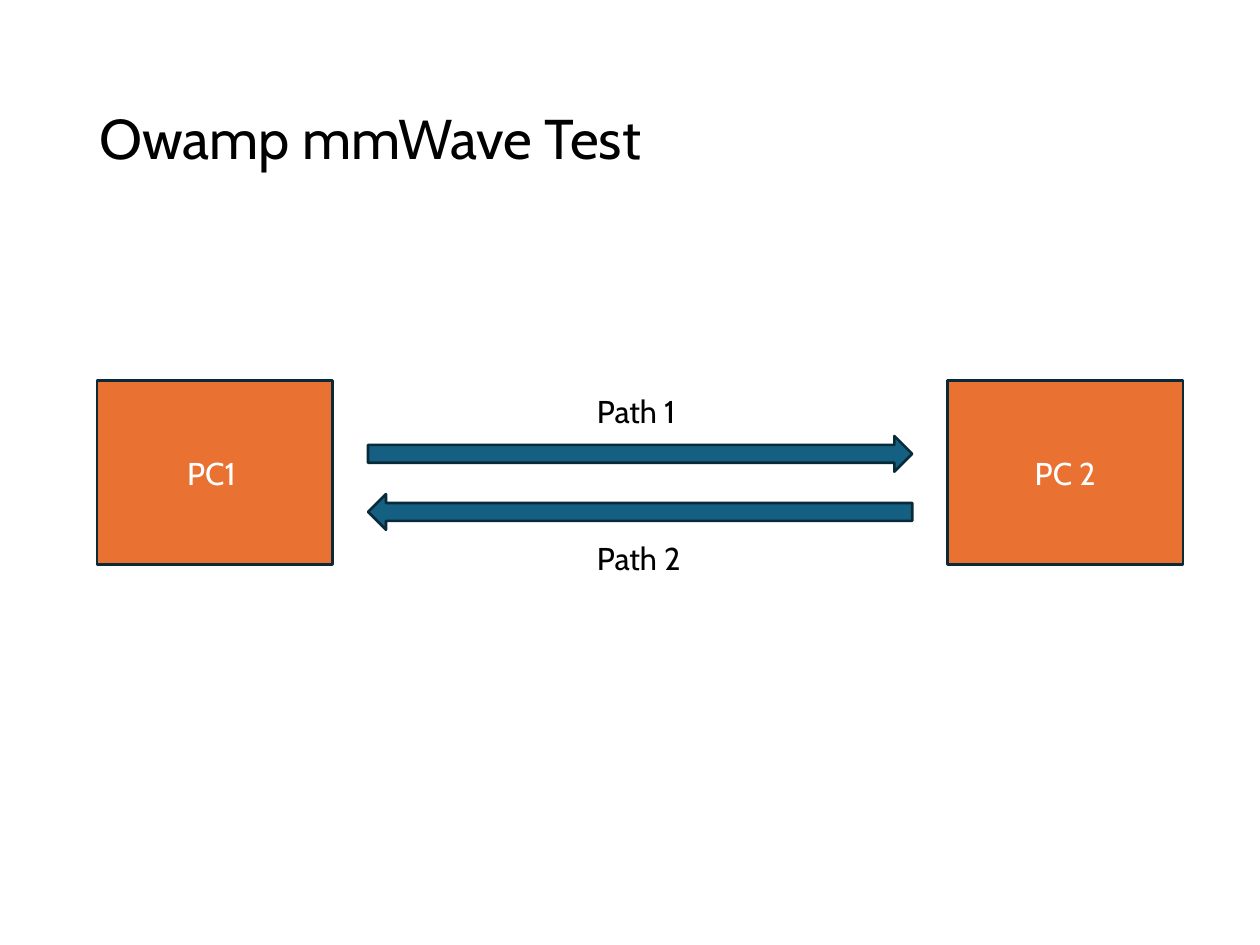
from pptx import Presentation
from pptx.dml.color import RGBColor
from pptx.enum.shapes import MSO_SHAPE
from pptx.enum.text import MSO_ANCHOR, MSO_AUTO_SIZE, PP_ALIGN
from pptx.util import Cm, Pt

RECTANGLE = MSO_SHAPE.RECTANGLE
RIGHT_ARROW = MSO_SHAPE.RIGHT_ARROW
MIDDLE = MSO_ANCHOR.MIDDLE
CENTER = PP_ALIGN.CENTER
FIT_SHAPE = MSO_AUTO_SIZE.SHAPE_TO_FIT_TEXT

FONT = "Cabin"
BLACK, WHITE = "000000", "FFFFFF"
ORANGE, BLUE, OUTLINE = "E97132", "156082", "092A39"

PC_WIDTH = 4.75
ARROW_WIDTH, ARROW_HEIGHT = 10.97, 0.72
LABEL_WIDTH, LABEL_HEIGHT = 2.24, 1.02


def color(hex_string):
    return RGBColor.from_string(hex_string)


def write(shape, text, size, text_color):
    para = shape.text_frame.paragraphs[0]
    para.text = text
    para.font.name = FONT
    para.font.size = Pt(size)
    para.font.color.rgb = color(text_color)
    return para


def add_outlined_shape(page, kind, left, top, width, height, fill):
    shape = page.shapes.add_shape(kind, Cm(left), Cm(top), Cm(width), Cm(height))
    shape.shadow.inherit = False
    shape.fill.solid()
    shape.fill.fore_color.rgb = color(fill)
    shape.line.color.rgb = color(OUTLINE)
    shape.line.width = Pt(1.5)
    return shape


def add_title(page, left, top, width, height):
    box = page.shapes.add_textbox(Cm(left), Cm(top), Cm(width), Cm(height))
    box.text_frame.word_wrap = True
    box.text_frame.vertical_anchor = MIDDLE
    write(box, "Owamp mmWave Test", 32, BLACK).line_spacing = 0.9


def add_computer(page, left, top, height, name):
    computer = add_outlined_shape(page, RECTANGLE, left, top, PC_WIDTH, height, ORANGE)
    computer.text_frame.vertical_anchor = MIDDLE
    write(computer, name, 18, WHITE).alignment = CENTER


def add_path_label(page, left, top, text):
    label = page.shapes.add_textbox(Cm(left), Cm(top), Cm(LABEL_WIDTH), Cm(LABEL_HEIGHT))
    label.text_frame.word_wrap = False
    label.text_frame.auto_size = FIT_SHAPE
    write(label, text, 18, BLACK)


def add_path_diagram(page, left, top, width, height):
    """Two computers at the ends of the box, joined by a path each way."""
    add_computer(page, left, top, height, "PC1 ")
    add_computer(page, left + width - PC_WIDTH, top, height, "PC 2")

    arrow_left = left + (width - ARROW_WIDTH) / 2
    label_left = left + (width - LABEL_WIDTH) / 2
    paths = [("Path 1", 1.12, 0, 0.1), ("Path 2", 2.29, 180, 3.07)]
    for text, arrow_offset, rotation, label_offset in paths:
        arrow = add_outlined_shape(page, RIGHT_ARROW, arrow_left, top + arrow_offset,
                                   ARROW_WIDTH, ARROW_HEIGHT, BLUE)
        arrow.rotation = rotation
        add_path_label(page, label_left, top + label_offset, text)


def main():
    deck = Presentation()
    deck.slide_width, deck.slide_height = Cm(25.4), Cm(19.05)
    page = deck.slides.add_slide(deck.slide_layouts[6])
    add_title(page, 1.75, 1.02, 21.89, 3.68)
    add_path_diagram(page, 1.96, 7.67, 21.89, 3.71)
    deck.save("out.pptx")


if __name__ == "__main__":
    main()
